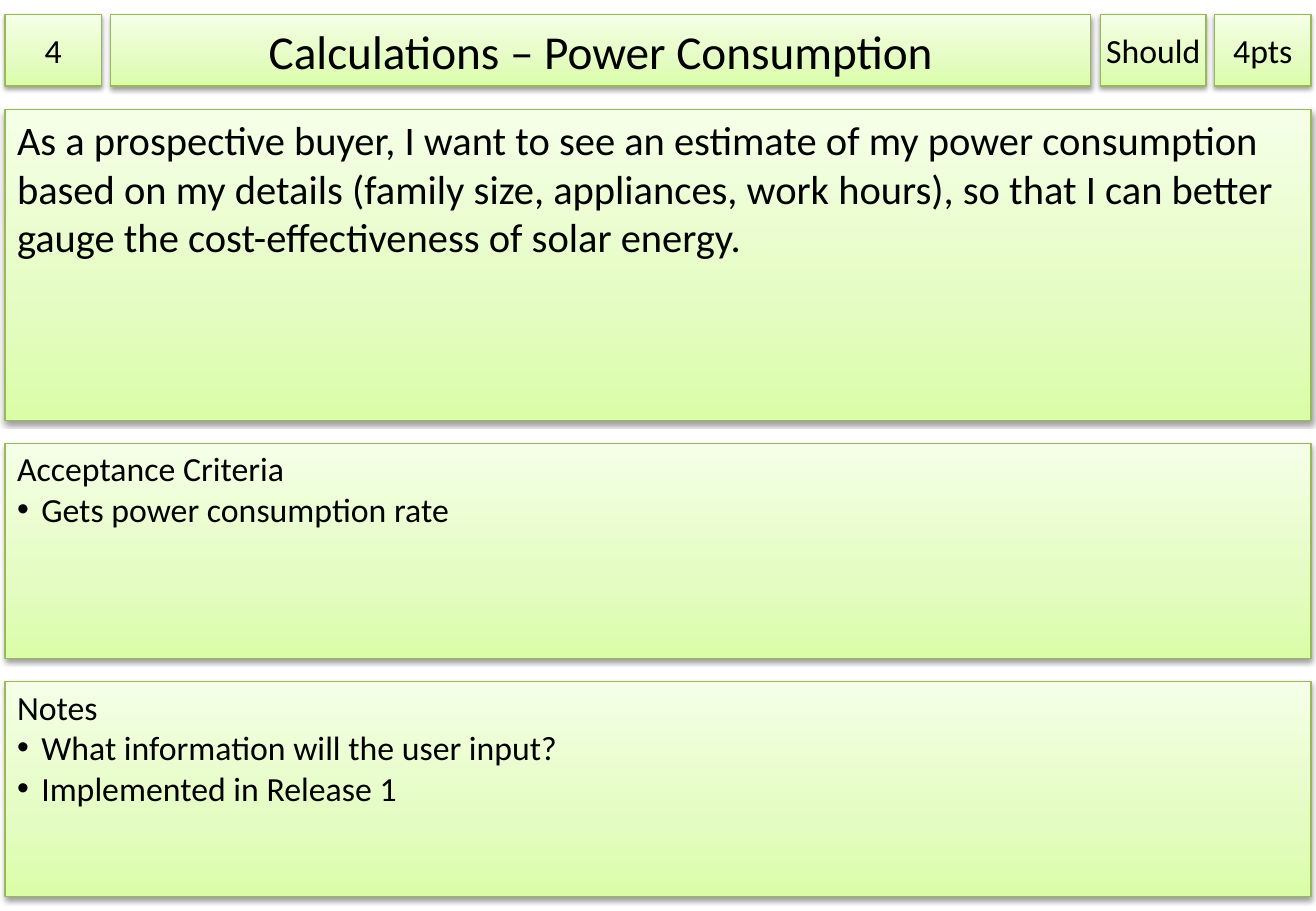
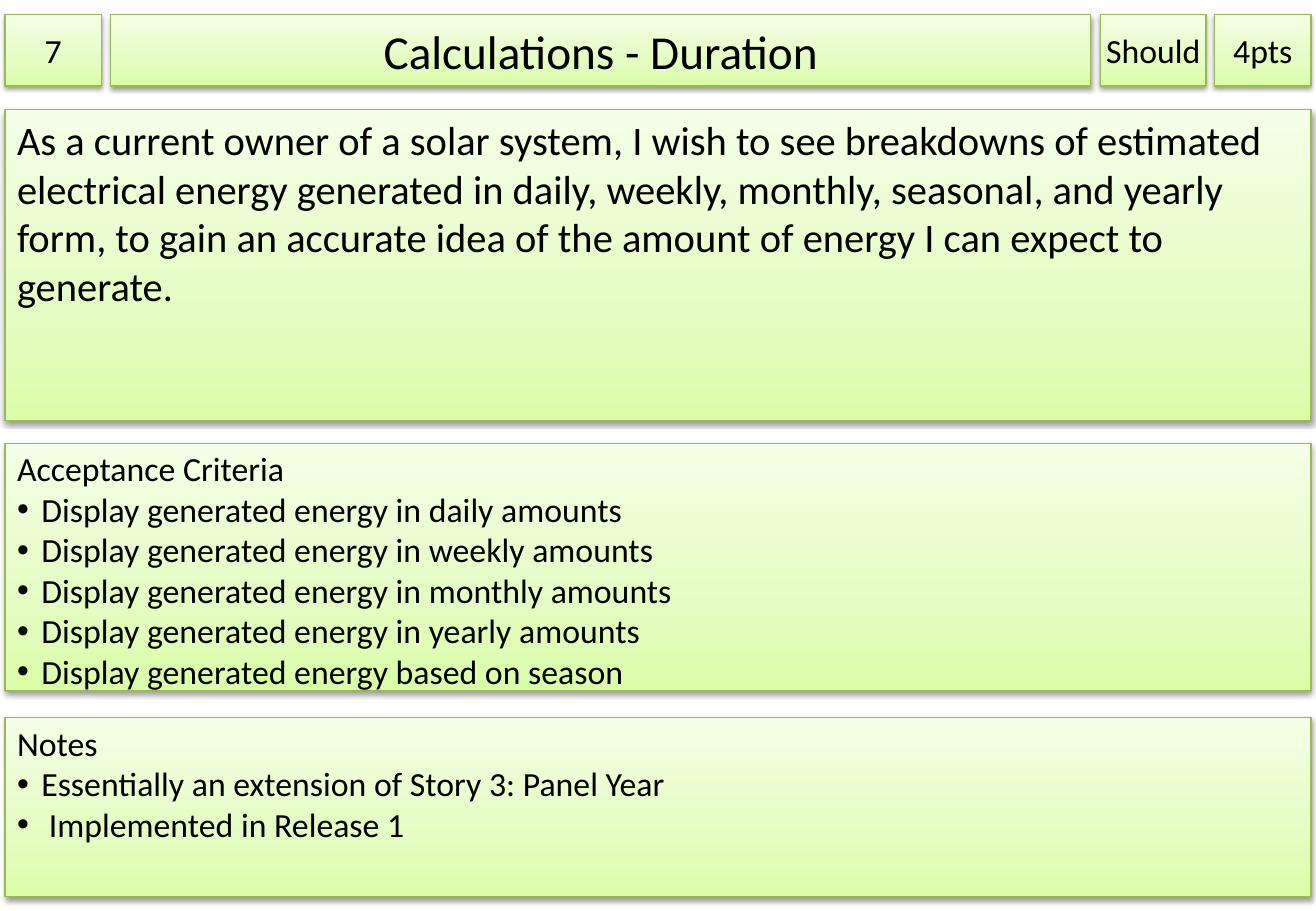
from dataclasses import dataclass
from pptx import Presentation
from pptx import util as u
from pptx import oxml as ox
from pptx.dml import color as col
from pptx.enum import shapes, text

Pt = u.Pt
NS = 'xmlns:a="http://schemas.openxmlformats.org/drawingml/2006/main"'


@dataclass(frozen=True)
class Theme:
    font: str = "Calibri"
    ink: str = "000000"
    edge: str = "98B955"
    fade: tuple = ((0, "DAFDA7"), (35, "E4FCC2"), (100, "F5FFE7"))
    title: int = 28
    story: int = 24
    body: int = 20


theme = Theme()


def style(shape, left, top, width, height):
    shape.left, shape.top = Pt(left), Pt(top)
    shape.width, shape.height = Pt(width), Pt(height)
    stops = "".join(
        f'<a:gs pos="{at * 1000}"><a:srgbClr val="{tone}"/></a:gs>'
        for at, tone in theme.fade)
    props = shape.element.spPr
    props.append(ox.parse_xml(
        f'<a:gradFill {NS} rotWithShape="1"><a:gsLst>{stops}</a:gsLst>'
        '<a:lin ang="16200000" scaled="0"/></a:gradFill>'))
    shape.line.color.rgb = col.RGBColor.from_string(theme.edge)
    shape.line.width = Pt(0.75)
    props.append(ox.parse_xml(
        f'<a:effectLst {NS}><a:outerShdw blurRad="{Pt(3.1)}" dist="{Pt(1.6)}" '
        'dir="5400000" rotWithShape="0"><a:srgbClr val="000000">'
        '<a:alpha val="38000"/></a:srgbClr></a:outerShdw></a:effectLst>'))
    return shape


def write(shape, words, size=theme.body, mid=False, side=7.2, top=3.6,
          wrap=True, points=()):
    frame = shape.text_frame
    frame.auto_size = text.MSO_AUTO_SIZE.NONE
    frame.word_wrap = wrap
    frame.margin_left = frame.margin_right = Pt(side)
    frame.margin_top, frame.margin_bottom = Pt(top), Pt(3.6)
    frame.vertical_anchor = text.MSO_ANCHOR.MIDDLE if mid else text.MSO_ANCHOR.TOP
    for row, line in enumerate((words, *points)):
        para = frame.add_paragraph() if row else frame.paragraphs[0]
        para.alignment = text.PP_ALIGN.CENTER if mid else text.PP_ALIGN.LEFT
        run = para.add_run()
        run.text = line
        run.font.name, run.font.size = theme.font, Pt(size)
        run.font.color.rgb = col.RGBColor.from_string(theme.ink)
        if row:
            props = para._p.get_or_add_pPr()
            props.set("marL", str(Pt(14.4)))
            props.set("indent", str(-Pt(14.4)))
            props.append(ox.parse_xml(f'<a:buFont {NS} typeface="Arial"/>'))
            props.append(ox.parse_xml(f'<a:buChar {NS} char="•"/>'))


stories = [
    dict(
        id="4", title="Calculations – Power Consumption",
        story="As a prospective buyer, I want to see an estimate of my power "
              "consumption based on my details (family size, appliances, work "
              "hours), so that I can better gauge the cost-effectiveness of "
              "solar energy.",
        tests=["Gets power consumption rate"],
        notes=["What information will the user input?",
               "Implemented in Release 1"],
        split=(390.3, 403.9)),
    dict(
        id="7", title="Calculations - Duration",
        story="As a current owner of a solar system, I wish to see breakdowns "
              "of estimated electrical energy generated in daily, weekly, "
              "monthly, seasonal, and yearly form, to gain an accurate idea of "
              "the amount of energy I can expect to generate.",
        tests=[f"Display generated energy {kind}" for kind in (
            "in daily amounts", "in weekly amounts", "in monthly amounts",
            "in yearly amounts", "based on season")],
        notes=["Essentially an extension of Story 3: Panel Year",
               " Implemented in Release 1"],
        split=(409.7, 425.5)),
]

deck = Presentation()
deck.slide_width, deck.slide_height = Pt(780), Pt(540)
edge, wide, base = 3, 774, 531.5
head, tall = 8.5, 42.5
first, second = 64.8, 262.8

for item in stories:
    slide = deck.slides.add_slide(deck.slide_layouts[5])
    title = style(slide.shapes.title, 65.5, head, 581, tall)
    write(title, item["title"], size=theme.title, mid=True)

    end, start = item["split"]
    tag = dict(mid=True, side=0)
    panel = dict(top=2.9)
    cards = [
        (edge, head, 57, tall, item["id"], tag),
        (edge, first, wide, 184.3, item["story"], dict(size=theme.story)),
        (edge, second, wide, end - second, "Acceptance Criteria",
         dict(panel, points=item["tests"])),
        (720, head, 57, tall, "4pts", tag),
        (652.3, head, 62.6, tall, "Should", dict(tag, wrap=False)),
        (edge, start, wide, base - start, "Notes",
         dict(panel, points=item["notes"])),
    ]
    for *box, words, form in cards:
        card = slide.shapes.add_shape(shapes.MSO_SHAPE.RECTANGLE, 0, 0, 0, 0)
        write(style(card, *box), words, **form)

deck.save("out.pptx")
